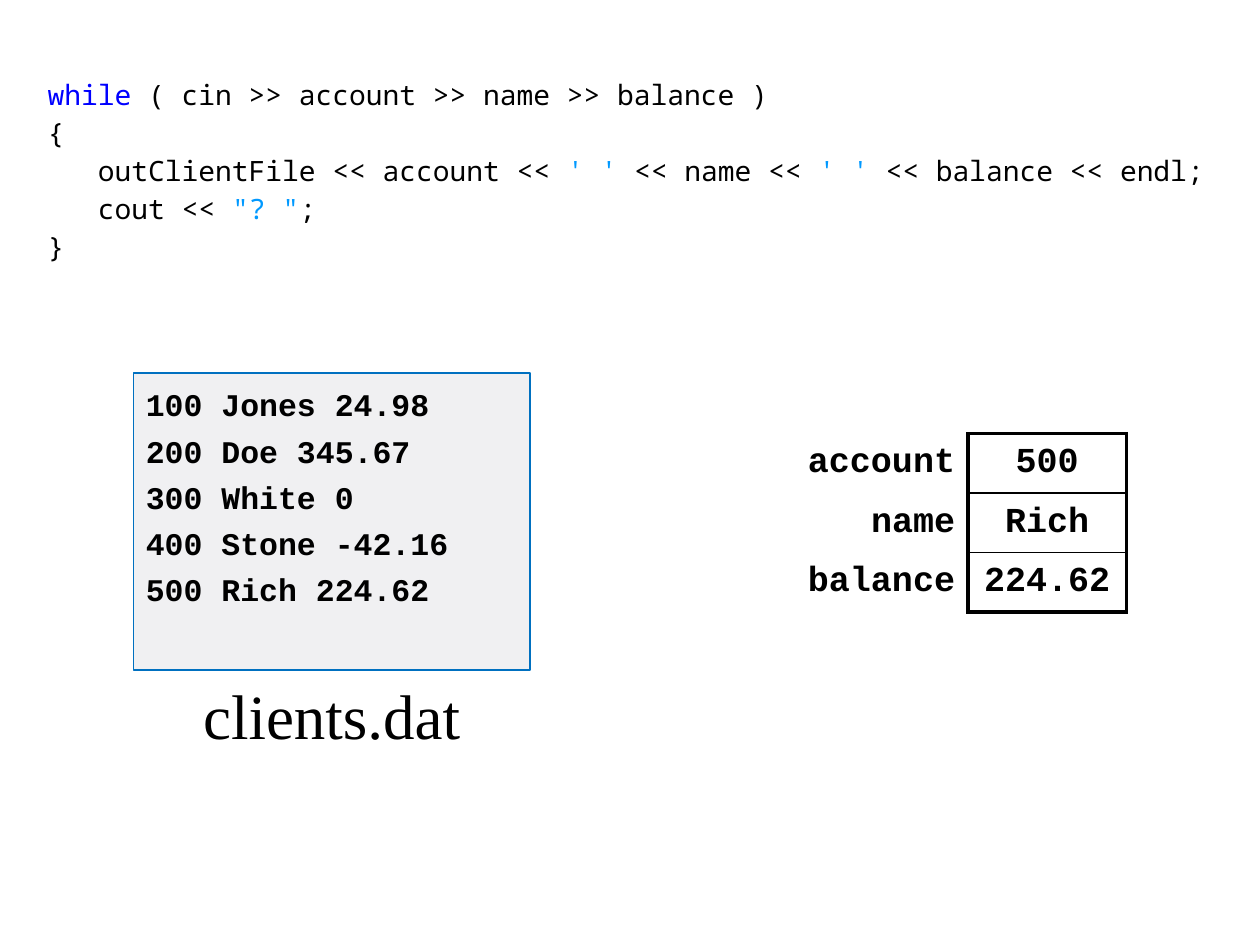
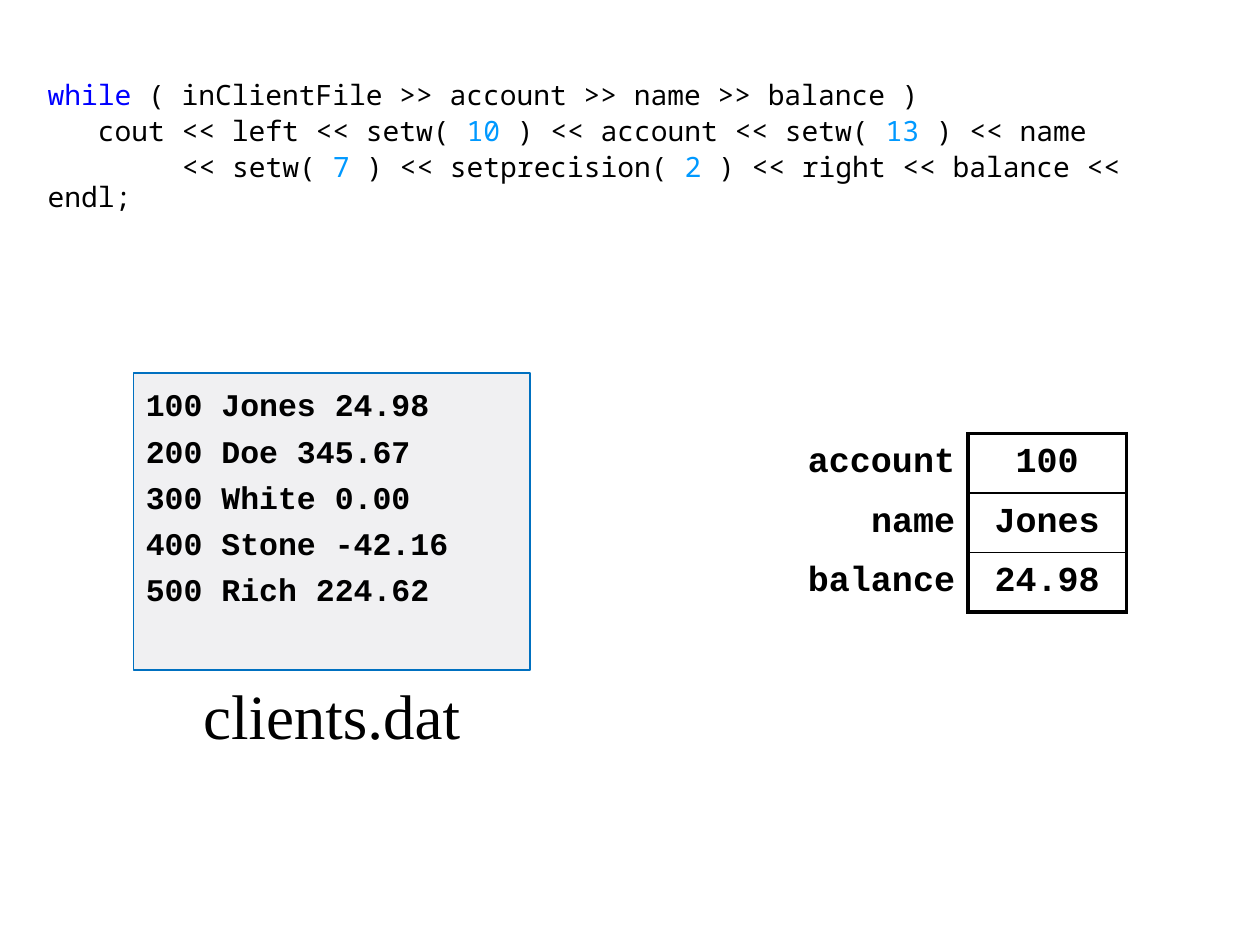
from lxml import etree
from pptx import Presentation
from pptx.dml.color import RGBColor
from pptx.enum.shapes import MSO_SHAPE
from pptx.enum.text import MSO_ANCHOR, PP_ALIGN
from pptx.oxml import parse_xml
from pptx.util import Cm, Pt

RECT = MSO_SHAPE.RECTANGLE
TOP, MIDDLE = MSO_ANCHOR.TOP, MSO_ANCHOR.MIDDLE
LEFT, CENTER, RIGHT = PP_ALIGN.LEFT, PP_ALIGN.CENTER, PP_ALIGN.RIGHT
BLACK, BLUE, SKY = "000000", "0000FF", "0099FF"
PALE, EDGE = "F0F0F2", "0070C0"
MONO, CODE, SERIF = "Courier New", "Noto Sans Mono", "Times New Roman"
SPACE = "http://schemas.openxmlformats.org/drawingml/2006/main"
CHAR = Pt(9.6)
THICK, THIN = Pt(2.25), Pt(1)


def color(code):
    return RGBColor.from_string(code)


def write(frame, lines, font=MONO, size=18, bold=False, align=LEFT, gap=0, lead=None):
    for i, (indent, runs) in enumerate(lines):
        para = frame.paragraphs[0] if i == 0 else frame.add_paragraph()
        para.alignment = align
        para.space_before = Pt(gap)
        para.line_spacing = lead
        if indent:
            props = para._p.get_or_add_pPr()
            props.set("marL", "0")
            props.set("indent", str(indent * CHAR))
        for text, tint in runs:
            run = para.add_run()
            run.text = text
            run.font.name = font
            run.font.size = Pt(size)
            run.font.bold = bold
            run.font.color.rgb = color(tint)


pages = [
    {
        "code": [
            (0, [("while", BLUE), (" ( cin >> account >> name >> balance )", BLACK)]),
            (0, [("{", BLACK)]),
            (3, [("outClientFile << account << ", BLACK), ("' '", SKY),
                 (" << name << ", BLACK), ("' '", SKY),
                 (" << balance << endl;", BLACK)]),
            (3, [("cout << ", BLACK), ('"? "', SKY), (";", BLACK)]),
            (0, [("}", BLACK)]),
        ],
        "gap": 4.4,
        "high": 4.4,
        "zero": "0",
        "vars": ["500", "Rich", "224.62"],
    },
    {
        "code": [
            (0, [("while", BLUE),
                 (" ( inClientFile >> account >> name >> balance )", BLACK)]),
            (3, [("cout << left << setw( ", BLACK), ("10", SKY),
                 (" ) << account << setw( ", BLACK), ("13", SKY),
                 (" ) << name", BLACK)]),
            (8, [("<< setw( ", BLACK), ("7", SKY), (" ) << setprecision( ", BLACK),
                 ("2", SKY), (" ) << right << balance << endl;", BLACK)]),
        ],
        "gap": 3.2,
        "high": 2.8,
        "zero": "0.00",
        "vars": ["100", "Jones", "24.98"],
    },
]
names = ["account", "name", "balance"]

deck = Presentation()
deck.slide_width, deck.slide_height = Cm(25.4), Cm(19.05)

for page in pages:
    slide = deck.slides.add_slide(deck.slide_layouts[6])
    shapes = slide.shapes

    code = shapes.add_textbox(Cm(0.71), Cm(1.52), Cm(24), Cm(page["high"]))
    code.text_frame.word_wrap = True
    write(code.text_frame, page["code"], font=CODE, size=16, gap=page["gap"], lead=0.9)

    table = shapes.add_table(3, 2, Cm(15.9), Cm(8.74), Cm(6.81), Cm(3.6)).table
    table.first_row = table.horz_banding = False
    table.columns[0].width, table.columns[1].width = Cm(3.61), Cm(3.2)
    for row, pair in enumerate(zip(names, page["vars"])):
        table.rows[row].height = Cm(1.2)
        for col, word in enumerate(pair):
            cell = table.cell(row, col)
            cell.fill.background()
            cell.vertical_anchor = MIDDLE
            write(cell.text_frame, [(0, [(word, BLACK)])], size=20, bold=True,
                  align=CENTER if col else RIGHT)
            sides = {"R": THICK}
            if col:
                sides = {"L": THICK, "R": THICK,
                         "T": THIN if row else THICK,
                         "B": THIN if row < 2 else THICK}
            props = cell._tc.get_or_add_tcPr()
            for spot, (side, width) in enumerate(sides.items()):
                line = etree.Element(f"{{{SPACE}}}ln{side}", w=str(width))
                fill = etree.SubElement(line, f"{{{SPACE}}}solidFill")
                etree.SubElement(fill, f"{{{SPACE}}}srgbClr", val=BLACK)
                props.insert(spot, parse_xml(etree.tostring(line)))

    file = shapes.add_shape(RECT, Cm(2.69), Cm(7.52), Cm(8), Cm(5.99))
    file.shadow.inherit = False
    file.fill.solid()
    file.fill.fore_color.rgb = color(PALE)
    file.line.color.rgb = color(EDGE)
    file.line.width = THIN
    frame = file.text_frame
    frame.word_wrap = True
    frame.vertical_anchor = TOP
    frame.margin_left = frame.margin_right = Cm(0.25)
    frame.margin_top = frame.margin_bottom = Cm(0.25)
    rows = ["100 Jones 24.98", "200 Doe 345.67", f"300 White {page['zero']}",
            "400 Stone -42.16", "500 Rich 224.62"]
    write(frame, [(0, [(row, BLACK)]) for row in rows], bold=True, gap=4.75)

    label = shapes.add_textbox(Cm(3.49), Cm(13.51), Cm(6.4), Cm(2))
    label.text_frame.word_wrap = False
    write(label.text_frame, [(0, [("clients.dat", BLACK)])], font=SERIF, size=36,
          align=CENTER)

deck.save("out.pptx")
